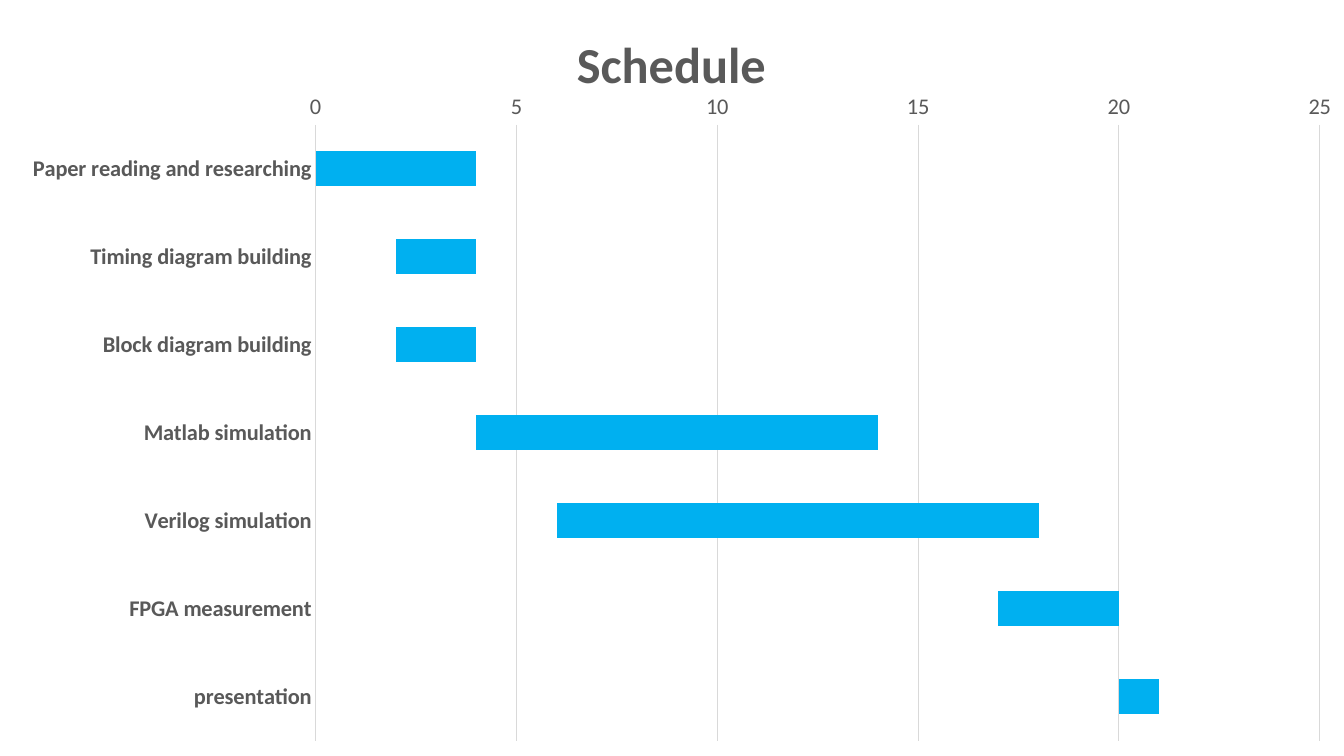
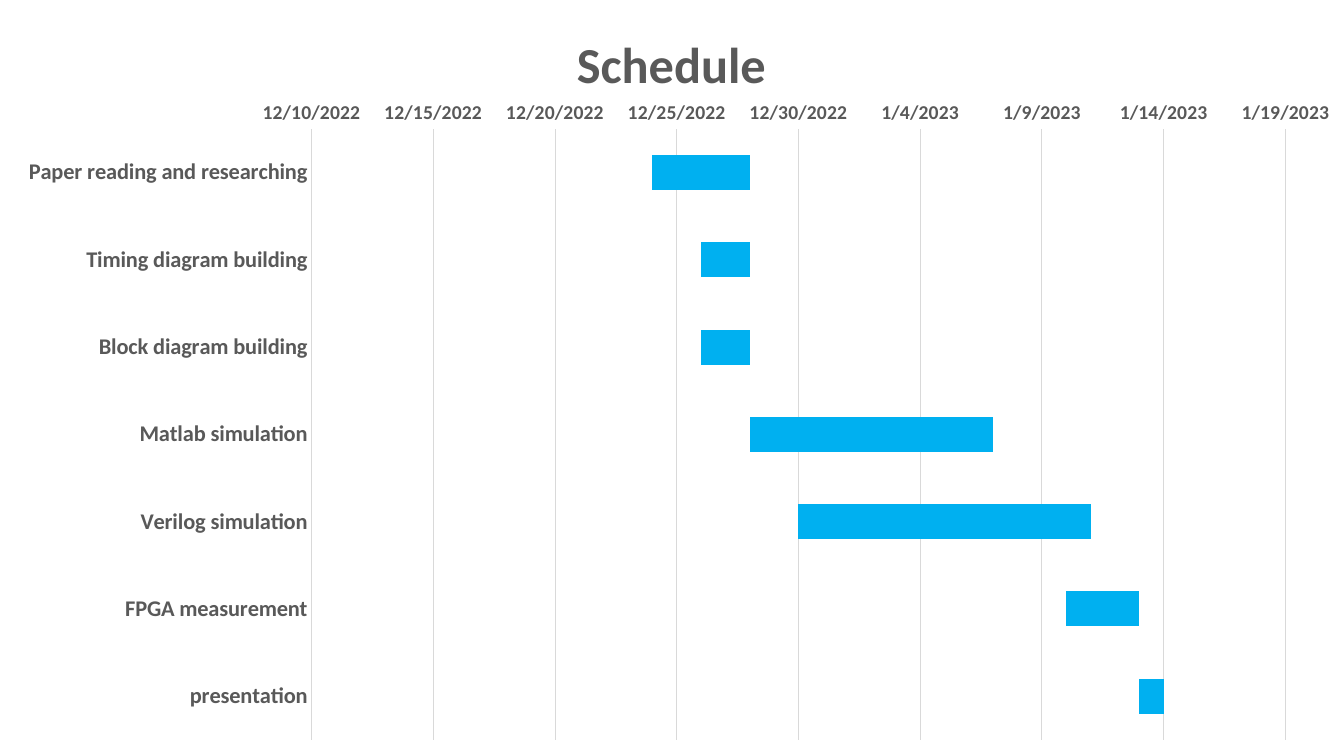
import pptx
import pptx.chart.data
import pptx.dml.color
import pptx.enum.chart
import pptx.oxml
import pptx.oxml.ns
import pptx.util
from dataclasses import dataclass

TITLE = "Schedule"
TASKS = [
    ("Paper reading and researching", 0, 4),
    ("Timing diagram building", 2, 2),
    ("Block diagram building", 2, 2),
    ("Matlab simulation", 4, 10),
    ("Verilog simulation", 6, 12),
    ("FPGA measurement", 17, 3),
    ("presentation", 20, 1),
]
DEC_10, DEC_24, JAN_19 = 44905, 44919, 44945
SCHEDULES = [
    dict(day_zero=0, low=0, high=25, number_format="General",
         size=16, bold=False, plot=(3.13, 1.24, 9.96, 6.11)),
    dict(day_zero=DEC_24, low=DEC_10, high=JAN_19, number_format="m/d/yyyy",
         size=14, bold=True, plot=(3.09, 1.28, 9.66, 6.06)),
]
WIDTH, HEIGHT = 13.33, 7.5


@dataclass(frozen=True)
class Theme:
    font: str = "Calibri"
    text: str = "595959"
    grid: str = "D9D9D9"
    bar: str = "00B0F0"
    title_size: int = 36
    label_size: int = 16
    line_width: float = 0.75
    title_at: tuple = (5.63, 0.2)


THEME = Theme()


def rgb(value):
    return pptx.dml.color.RGBColor.from_string(value)


def style_font(font, size, bold):
    font.name = THEME.font
    font.size = pptx.util.Pt(size)
    font.bold = bold
    font.color.rgb = rgb(THEME.text)


def add_text(tf, text, size, bold=False):
    r = tf.paragraphs[0].add_run()
    r.text = text
    style_font(r.font, size, bold)


def style_line(line):
    line.color.rgb = rgb(THEME.grid)
    line.width = pptx.util.Pt(THEME.line_width)


def place(element, before, box, inner=False):
    for old in element.findall(pptx.oxml.ns.qn("c:layout")):
        element.remove(old)
    target = '<c:layoutTarget val="inner"/>' if inner else ""
    modes = "".join(f'<c:{n}Mode val="edge"/>' for n in "xy")
    values = "".join(f'<c:{n} val="{length / full:.4f}"/>' for n, length, full
                     in zip("xywh", box, (WIDTH, HEIGHT) * 2))
    layout = pptx.oxml.parse_xml(
        f'<c:layout {pptx.oxml.ns.nsdecls("c")}><c:manualLayout>'
        f"{target}{modes}{values}</c:manualLayout></c:layout>")
    element.find(pptx.oxml.ns.qn(before)).addprevious(layout)


def style_axis(axis, size, bold):
    axis.major_tick_mark = pptx.enum.chart.XL_TICK_MARK.NONE
    axis.minor_tick_mark = pptx.enum.chart.XL_TICK_MARK.NONE
    style_font(axis.tick_labels.font, size, bold)


def add_schedule(prs, day_zero, low, high, number_format, size, bold, plot):
    names, offsets, durations = zip(*TASKS)
    data = pptx.chart.data.CategoryChartData()
    data.categories = names
    data.add_series("Start", [day_zero + offset for offset in offsets])
    data.add_series("Duration", durations)
    s = prs.slides.add_slide(prs.slide_layouts[6])
    chart = s.shapes.add_chart(
        pptx.enum.chart.XL_CHART_TYPE.BAR_STACKED, 0, 0,
        prs.slide_width, prs.slide_height, data).chart
    chart.has_legend = False
    chart.has_title = True
    add_text(chart.chart_title.text_frame, TITLE, THEME.title_size, bold=True)
    chart.chart_title.include_in_layout = False

    bars = chart.plots[0]
    bars.gap_width = 150
    bars.overlap = 100
    bars.vary_by_categories = False
    start, duration = bars.series
    start.format.fill.background()
    duration.format.fill.solid()
    duration.format.fill.fore_color.rgb = rgb(THEME.bar)

    tasks, days = chart.category_axis, chart.value_axis
    style_axis(tasks, THEME.label_size, True)
    tasks.reverse_order = True
    style_line(tasks.format.line)
    style_axis(days, size, bold)
    days.minimum_scale, days.maximum_scale, days.major_unit = low, high, 5
    days.tick_labels.number_format = number_format
    days.tick_labels.number_format_is_linked = False
    days.format.line.fill.background()
    days.has_major_gridlines = True
    style_line(days.major_gridlines.format.line)

    title = chart.chart_title._element
    place(title, "c:overlay", THEME.title_at)
    place(title.getparent().find(pptx.oxml.ns.qn("c:plotArea")),
          "c:barChart", plot, inner=True)


prs = pptx.Presentation()
prs.slide_width = pptx.util.Inches(WIDTH)
prs.slide_height = pptx.util.Inches(HEIGHT)
for schedule in SCHEDULES:
    add_schedule(prs, **schedule)
prs.save("out.pptx")
